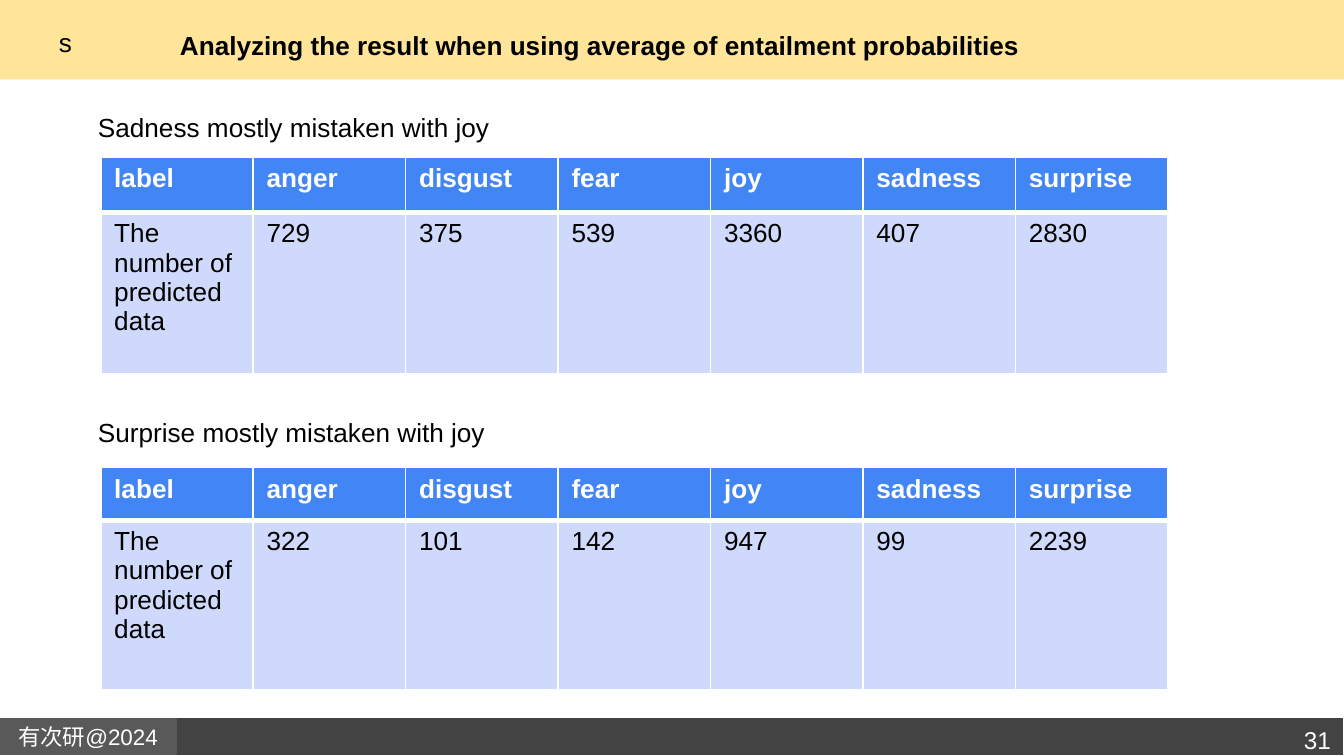
from pptx import Presentation
from pptx.dml.color import RGBColor as RGB
from pptx.enum.shapes import MSO_SHAPE as Shape
from pptx.enum.text import MSO_ANCHOR as Anchor, PP_ALIGN as Align
from pptx.oxml import parse_xml
from pptx.oxml.ns import nsdecls
from pptx.util import Inches, Pt

# Content
MARK = "s"
TITLE = "Analyzing the result when using average of entailment probabilities"
LABELS = ["label", "anger", "disgust", "fear", "joy", "sadness", "surprise"]
ROW = "The number of predicted data"
GROUPS = [
    dict(head="Sadness mostly mistaken with joy", head_top=0.78, top=1.17,
         rows=(0.41, 1.2), data=[729, 375, 539, 3360, 407, 2830]),
    dict(head="Surprise mostly mistaken with joy", head_top=3.05, top=3.48,
         rows=(0.39, 1.26), data=[322, 101, 142, 947, 99, 2239]),
]
LAB = "有次研@2024"
PAGE = "31"

THEME = dict(font="Arial", body=14, page=13, foot=12, black="000000",
             white="FFFFFF", band="FFE599", bar="434343", tag="595959",
             head="4285F4", cell="CFD9FB")
LEFT, WIDTH = 0.75, 7.94

# Widescreen page, 16 by 9
deck = Presentation()
deck.slide_width = Inches(10)
deck.slide_height = deck.slide_width * 9 // 16
slide = deck.slides.add_slide(deck.slide_layouts[6])


def color(name):
    return RGB.from_string(THEME[name])


def write(frame, text, size="body", ink="black", bold=False, align=Align.LEFT):
    para = frame.paragraphs[0]
    para.text = text
    para.alignment = align
    font = para.font
    font.name, font.size, font.bold = THEME["font"], Pt(THEME[size]), bold
    font.color.rgb = color(ink)


def pad(frame, side, end):
    frame.margin_left = frame.margin_right = Inches(side)
    frame.margin_top = frame.margin_bottom = Inches(end)


def add_rect(box, fill, line=None):
    rect = slide.shapes.add_shape(Shape.RECTANGLE, *map(Inches, box))
    rect.shadow.inherit = False
    rect.fill.solid()
    rect.fill.fore_color.rgb = color(fill)
    if line:
        rect.line.color.rgb = color(line)
        rect.line.width = Pt(0.75)
    else:
        rect.line.fill.background()
    return rect


def add_text(box, text, inset=0.05, anchor=Anchor.TOP, **style):
    frame = slide.shapes.add_textbox(*map(Inches, box)).text_frame
    frame.word_wrap = True
    frame.vertical_anchor = anchor
    pad(frame, 0.1, inset)
    write(frame, text, **style)


def set_edges(cell, top, bottom):
    props = cell._tc.get_or_add_tcPr()
    edges = [("L", 1), ("R", 1), ("T", top), ("B", bottom)]
    for spot, (side, width) in enumerate(edges):
        props.insert(spot, parse_xml(
            f'<a:ln{side} {nsdecls("a")} w="{Pt(width)}"><a:solidFill>'
            f'<a:srgbClr val="{THEME["white"]}"/></a:solidFill></a:ln{side}>'))


def add_grid(top, heights, rows):
    count = len(LABELS)
    grid = slide.shapes.add_table(
        len(rows), count, Inches(LEFT), Inches(top),
        Inches(WIDTH), Inches(sum(heights))).table
    for col in grid.columns:
        col.width = Inches(WIDTH / count)
    for y, row in enumerate(rows):
        grid.rows[y].height = Inches(heights[y])
        is_head = y == 0
        for x, text in enumerate(row):
            cell = grid.cell(y, x)
            cell.fill.solid()
            cell.fill.fore_color.rgb = color("head" if is_head else "cell")
            write(cell.text_frame, str(text), bold=is_head,
                  ink="white" if is_head else "black")
            # A thick rule parts the header from the data
            set_edges(cell, *((1, 3) if is_head else (3, 1)))


# Top band and footer
add_rect((0, 0, 10, 0.59), "band")
add_rect((0, 5.34, 10, 0.28), "bar", "white")
tag = add_rect((0, 5.35, 1.31, 0.26), "tag", "tag").text_frame
tag.vertical_anchor = Anchor.MIDDLE
pad(tag, 0.1, 0.1)
write(tag, LAB, size="foot", ink="white", align=Align.CENTER)
add_text((8.95, 5.3, 1.05, 0.37), PAGE, inset=0.1, size="page", ink="white",
         align=Align.RIGHT)

# Titles
add_text((0.34, 0, 9.32, 0.63), MARK, inset=0.1, anchor=Anchor.MIDDLE)
add_text((1.24, 0.17, 7.21, 0.34), TITLE, bold=True)

# Headed tables
for group in GROUPS:
    add_text((0.63, group["head_top"], 3.81, 0.34), group["head"])
    add_grid(group["top"], group["rows"], [LABELS, [ROW, *group["data"]]])

deck.save("out.pptx")
